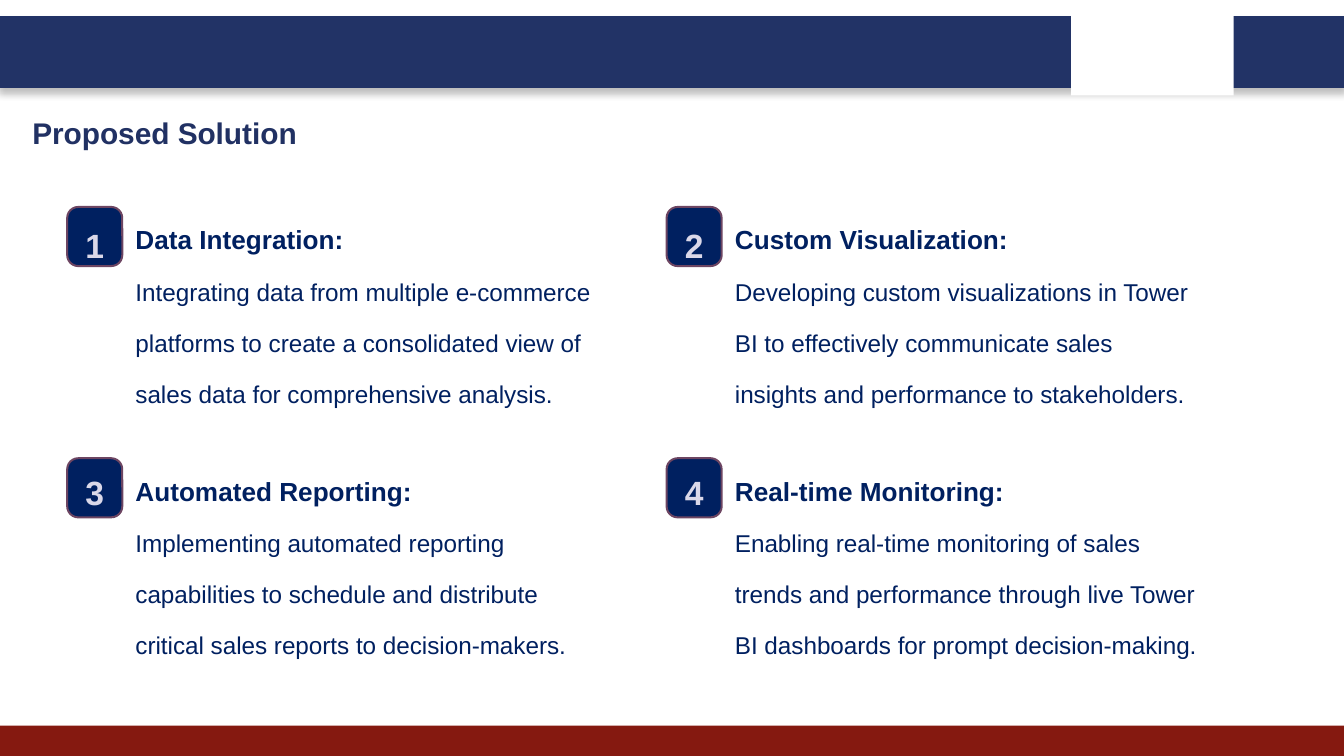
from lxml.etree import SubElement
from pptx import Presentation
from pptx.dml.color import RGBColor
from pptx.enum.shapes import MSO_SHAPE
from pptx.enum.text import MSO_ANCHOR, MSO_AUTO_SIZE, PP_ALIGN
from pptx.oxml.ns import qn
from pptx.util import Inches, Pt

HUES = {
    "bar": "223366", "foot": "851910", "white": "FFFFFF", "title": "213163",
    "navy": "002060", "edge": "6D4562", "num": "DAD8E9", "shade": "000000",
}
ITEMS = [
    ("Data Integration:",
     "Integrating data from multiple e-commerce platforms to create a "
     "consolidated view of sales data for comprehensive analysis."),
    ("Custom Visualization:",
     "Developing custom visualizations in Tower BI to effectively communicate "
     "sales insights and performance to stakeholders."),
    ("Automated Reporting:",
     "Implementing automated reporting capabilities to schedule and distribute "
     "critical sales reports to decision-makers."),
    ("Real-time Monitoring:",
     "Enabling real-time monitoring of sales trends and performance through "
     "live Tower BI dashboards for prompt decision-making."),
]


class Deck:
    """Style and current slide; lengths are in grid cells, 100 columns wide."""

    font = "Arial"
    cell = 0.1

    def __init__(self):
        self.file = Presentation()
        self.file.slide_width, self.file.slide_height = self.span(100, 56.25)
        self.slide = self.file.slides.add_slide(self.file.slide_layouts[5])

    def span(self, *cells):
        return [Inches(n * self.cell) for n in cells]

    def ink(self, para, size, hue, bold=True):
        for run in para.runs:
            run.font.name = self.font
            run.font.size = Pt(size)
            run.font.bold = bold
            run.font.color.rgb = RGBColor.from_string(HUES[hue])

    def title(self, text, *box):
        shape = self.slide.shapes.title
        shape.left, shape.top, shape.width, shape.height = self.span(*box)
        frame = shape.text_frame
        frame.text = text
        frame.auto_size = MSO_AUTO_SIZE.NONE
        frame.vertical_anchor = MSO_ANCHOR.TOP
        frame.margin_left, frame.margin_right = self.span(1, 1)
        frame.margin_top, frame.margin_bottom = self.span(1, 1)
        frame.paragraphs[0].alignment = PP_ALIGN.LEFT
        self.ink(frame.paragraphs[0], 16, "title")

    def block(self, fill, *box, edge=None, width=1, kind=MSO_SHAPE.RECTANGLE):
        shape = self.slide.shapes.add_shape(kind, *self.span(*box))
        shape.shadow.inherit = False
        shape.fill.solid()
        shape.fill.fore_color.rgb = RGBColor.from_string(HUES[fill])
        if edge:
            shape.line.color.rgb = RGBColor.from_string(HUES[edge])
            shape.line.width = Pt(width)
        else:
            shape.line.fill.background()
        return shape

    def shade(self, shape):
        """Cast a soft shadow straight down."""
        props = shape.fill._xPr
        drop = SubElement(props.find(qn("a:effectLst")), qn("a:outerShdw"),
                          blurRad=str(Pt(4)), dist=str(Pt(3)),
                          dir="5400000", rotWithShape="0")
        tint = SubElement(drop, qn("a:srgbClr"), val=HUES["shade"])
        SubElement(tint, qn("a:alpha"), val="25000")

    def text(self, lines, pitch, *box, align=PP_ALIGN.LEFT):
        """Write lines given as (text, size, hue, bold)."""
        frame = self.slide.shapes.add_textbox(*self.span(*box)).text_frame
        frame.word_wrap = True
        frame.auto_size = MSO_AUTO_SIZE.SHAPE_TO_FIT_TEXT
        frame.text = "\n".join(line[0] for line in lines)
        for para, (_, size, hue, bold) in zip(frame.paragraphs, lines):
            para.alignment = align
            para.line_spacing = Pt(pitch)
            self.ink(para, size, hue, bold)

    def badge(self, num, x, y, drop):
        """Number tile; drop is the offset of its text from the tile's top."""
        tile = self.block("navy", x, y, 4.1, 4.4, edge="edge", width=1.09,
                          kind=MSO_SHAPE.ROUNDED_RECTANGLE)
        tile.adjustments[0] = 0.2
        self.text([(str(num), 18, "num", True)], 32.8,
                  x - 1.4, y + drop, 6.9, 5.1, align=PP_ALIGN.CENTER)

    def item(self, num, head, body):
        row, col = divmod(num - 1, 2)
        x, y = 5 + col * 44.6, 15.4 + row * 18.7
        self.badge(num, x, y, -1 if row else -0.7)
        self.text([(head, 14, "navy", True), (body, 13, "navy", False)],
                  27.3, x + 4.1, y - 0.7, 36.3, 16.2)


def main():
    deck = Deck()
    deck.shade(deck.block("bar", 0, 1.3, 100, 5.1, edge="bar", width=2))
    deck.block("foot", 0, 54, 100, 2.25)
    deck.block("white", 79.7, 0.7, 12.1, 6.4)
    deck.title("Proposed Solution", 1.4, 7.5, 32.1, 3.5)
    for num, (head, body) in enumerate(ITEMS, 1):
        deck.item(num, head, body)
    deck.file.save("out.pptx")


if __name__ == "__main__":
    main()
